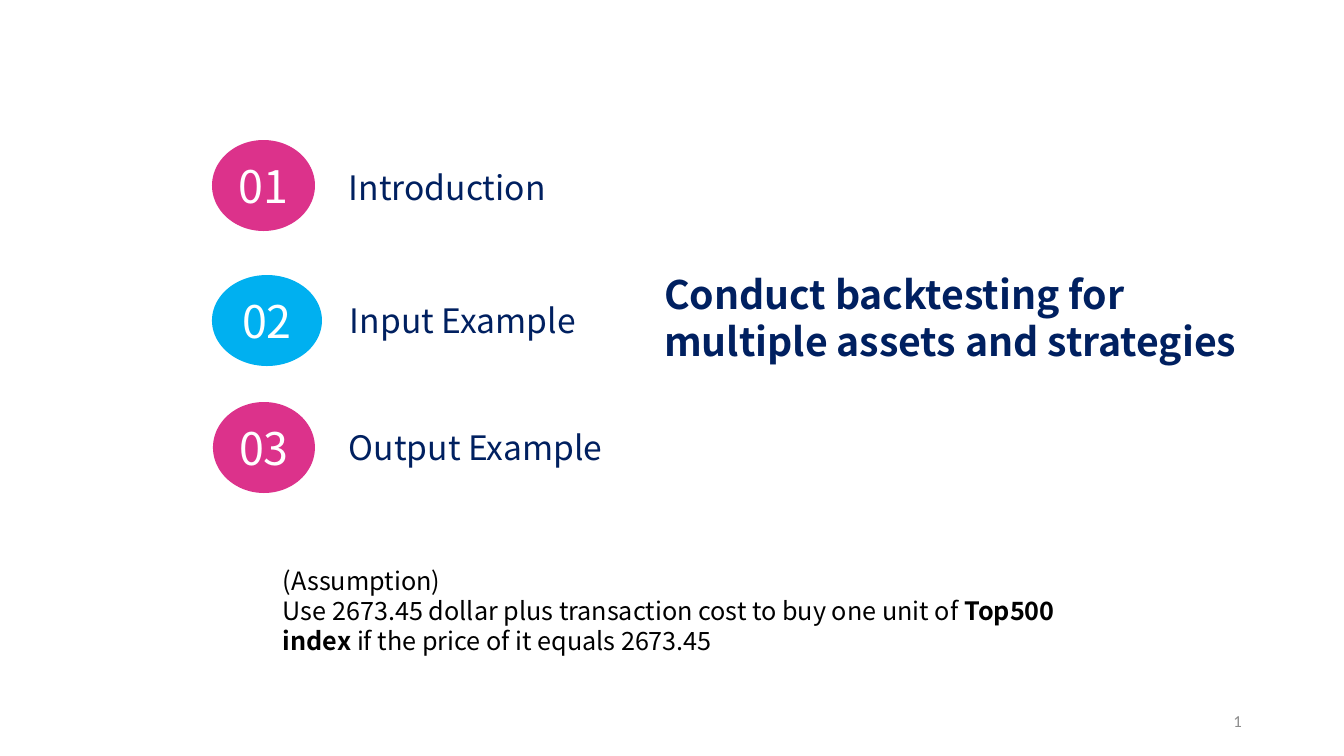
from lxml import etree
from pptx import Presentation
from pptx import util as u
from pptx.dml.color import RGBColor
from pptx.enum import shapes, text
from pptx.oxml import ns

PIXEL = 914400 / 100.8
COLOURS = {"pink": "DC328B", "blue": "00B0F0", "navy": "002060",
           "white": "FFFFFF", "black": "000000", "grey": "8C8C8C"}
TITLE_ONLY = 5


def px(length):
    """Turn picture pixels into EMU."""
    return u.Emu(round(length * PIXEL))


def colour(name):
    """Look up a named colour."""
    return RGBColor.from_string(COLOURS[name])


class AgendaPage:
    """Holds the style and the current slide."""

    font = "Noto Sans CJK SC"

    def __init__(self, deck):
        """Add a slide that has only a title placeholder."""
        self.page = deck.slides.add_slide(deck.slide_layouts[TITLE_ONLY])

    def fill_text(self, box, paras, size, ink, align=text.PP_ALIGN.LEFT,
                  anchor=text.MSO_ANCHOR.TOP):
        """Fill a shape with paragraphs, each a list of (words, bold) runs."""
        frame = box.text_frame
        frame.word_wrap = True
        frame.auto_size = text.MSO_AUTO_SIZE.NONE
        frame.vertical_anchor = anchor
        for index, runs in enumerate(paras):
            para = frame.add_paragraph() if index else frame.paragraphs[0]
            para.alignment = align
            for words, bold in runs:
                span = para.add_run()
                span.text = words
                span.font.name = self.font
                span.font.size = u.Pt(size)
                span.font.bold = bold
                span.font.color.rgb = colour(ink)

    def title(self, area, words):
        """Move and format the title placeholder."""
        box = self.page.shapes.title
        box.left, box.top, box.width, box.height = map(px, area)
        self.fill_text(box, [[(words, True)]], 28, "navy")

    def label(self, area, paras, size, ink):
        """Add a text box."""
        box = self.page.shapes.add_textbox(*map(px, area))
        self.fill_text(box, paras, size, ink)

    def badge(self, area, number, fill):
        """Add a filled ellipse with a number in it."""
        box = self.page.shapes.add_shape(shapes.MSO_SHAPE.OVAL, *map(px, area))
        box.shadow.inherit = False
        box.fill.solid()
        box.fill.fore_color.rgb = colour(fill)
        box.line.fill.background()
        self.fill_text(box, [[(number, False)]], 32, "white",
                       text.PP_ALIGN.CENTER, text.MSO_ANCHOR.MIDDLE)
        box.text_frame.margin_left = box.text_frame.margin_right = 0

    def page_number(self, area):
        """Add a right-aligned slide number field."""
        box = self.page.shapes.add_textbox(*map(px, area))
        self.fill_text(box, [[("1", False)]], 12, "grey",
                       text.PP_ALIGN.RIGHT, text.MSO_ANCHOR.MIDDLE)
        span = box.text_frame.paragraphs[0].runs[0]
        span.font.name = "Calibri"
        field = etree.Element(ns.qn("a:fld"), type="slidenum",
                              id="{B6F15528-21DE-4FAA-801E-634DDDAF4B2B}")
        run = span._r
        run.getparent().replace(run, field)
        field.extend(list(run))


def build():
    """Build the agenda slide and save the deck."""
    deck = Presentation()
    deck.slide_width, deck.slide_height = px(1344), px(756)
    agenda = AgendaPage(deck)
    agenda.title((654, 265, 623, 105),
                 "Conduct backtesting for multiple assets and strategies")

    items = [("Introduction", "pink", (212, 140, 103), (339, 162)),
             ("Input Example", "blue", (212, 275, 110), (340, 295)),
             ("Output Example", "pink", (213, 402, 102), (339, 422))]
    for number, (topic, fill, badge, label) in enumerate(items, 1):
        agenda.badge((*badge, 91), f"{number:02}", fill)
        agenda.label((*label, 300, 50), [[(topic, False)]], 24, "navy")

    agenda.label((273, 560, 835, 102), [
        [("(Assumption)", False)],
        [("Use 2673.45 dollar plus transaction cost to buy one unit of ", False),
         ("Top500 index ", True),
         ("if the price of it equals 2673.45", False)],
    ], 18, "black")
    agenda.page_number((950, 701, 302, 40))
    deck.save("out.pptx")


build()
